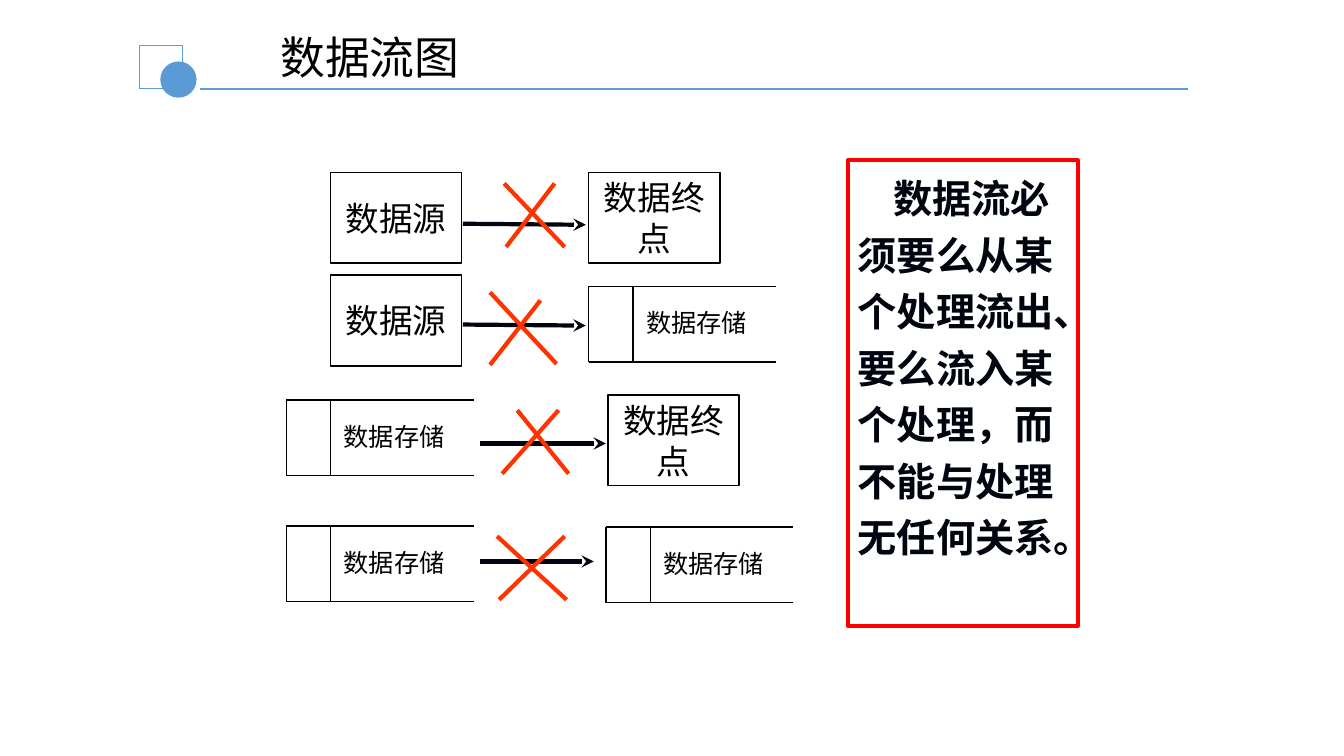
from lxml import etree
from pptx import Presentation, util as u
from pptx.dml.color import RGBColor
from pptx.enum import shapes as sh, text as tx
from pptx.oxml.ns import qn

HEX = {"blue": "5B9BD5", "black": "000000", "ink": "01050F",
       "red": "FF0000", "cross": "FF3300", "white": "FFFFFF"}
CJK = "Noto Sans CJK SC"
TITLE = "数据流图"
RULE = "数据流必须要么从某个处理流出、要么流入某个处理，而不能与处理无任何关系。"
ENDS = [("数据源", 3.28, 1.71), ("数据源", 3.28, 2.73),
        ("数据终点", 5.84, 1.71), ("数据终点", 6.03, 3.92)]
STORE = "数据存储"
STORES = [(5.84, 2.84), (2.84, 3.97), (2.84, 5.22), (6.01, 5.23)]
FLOWS = [(4.59, 2.22, 5.81, 2.23), (4.59, 3.22, 5.81, 3.23),
         (4.76, 4.4, 6.01, 4.4), (4.76, 5.57, 5.89, 5.57)]
CROSSES = [(5, 1.82, 5.6, 2.45), (5.5, 1.82, 5.02, 2.45),
           (4.86, 2.9, 5.52, 3.61), (5.36, 2.98, 4.86, 3.62),
           (5.13, 4.07, 5.64, 4.7), (5.54, 4.07, 4.98, 4.7),
           (4.93, 5.32, 5.62, 5.95), (5.6, 5.32, 4.95, 5.95)]
END_W, END_H = 1.3, 0.9
STORE_W, STORE_H, BAR = 1.86, 0.75, 0.44

deck = Presentation()
deck.slide_width, deck.slide_height = u.Inches(13.33), u.Inches(7.5)
slide = deck.slides.add_slide(deck.slide_layouts[5])


def color(name):
    return RGBColor.from_string(HEX[name])


def line(ends, hue, width, arrow=False):
    link = slide.shapes.add_connector(
        sh.MSO_CONNECTOR.STRAIGHT, *map(u.Inches, ends))
    link.line.color.rgb = color(hue)
    link.line.width = u.Pt(width)
    if arrow:
        etree.SubElement(link.line._get_or_add_ln(),
                         qn("a:tailEnd"), type="stealth")
    etree.SubElement(link._element.spPr, qn("a:effectLst"))


def shape(kind, area, fill=None, edge=None, width=1):
    item = slide.shapes.add_shape(kind, *map(u.Inches, area))
    item.shadow.inherit = False
    if fill:
        item.fill.solid()
        item.fill.fore_color.rgb = color(fill)
    else:
        item.fill.background()
    if edge:
        item.line.color.rgb = color(edge)
        item.line.width = u.Pt(width)
    else:
        item.line.fill.background()
    return item


def write(item, words, size, face, hue="black", bold=False,
          align="LEFT", anchor="TOP", side=0.1):
    frame = item.text_frame
    look = {"word_wrap": True, "auto_size": tx.MSO_AUTO_SIZE.NONE,
            "vertical_anchor": getattr(tx.MSO_ANCHOR, anchor),
            "margin_left": u.Inches(side), "margin_right": u.Inches(side),
            "margin_top": u.Inches(0.05), "margin_bottom": u.Inches(0.05)}
    for key, val in look.items():
        setattr(frame, key, val)
    para = frame.paragraphs[0]
    para.alignment = getattr(tx.PP_ALIGN, align)
    run = para.add_run()
    run.text = words
    for key, val in {"size": u.Pt(size), "name": face, "bold": bold}.items():
        setattr(run.font, key, val)
    run.font.color.rgb = color(hue)
    etree.SubElement(run._r.get_or_add_rPr(), qn("a:ea"), typeface=CJK)
    return para


def store(left, top):
    right, low, bar = left + STORE_W, top + STORE_H, left + BAR
    for ends in [(left, top, right, top), (left, top, left, low),
                 (left, low, right, low), (bar, top, bar, low)]:
        line(ends, "black", 1)
    label = shape(RECT, (left + 0.47, top + 0.16, 1.38, 0.4), "white")
    write(label, STORE, 18, "Times New Roman")


RECT, OVAL = sh.MSO_SHAPE.RECTANGLE, sh.MSO_SHAPE.OVAL

line((1.98, 0.88, 11.78, 0.88), "blue", 1.25)
shape(RECT, (1.38, 0.45, 0.43, 0.43), edge="blue", width=0.75)
shape(OVAL, (1.59, 0.61, 0.36, 0.36), "blue")

title = slide.shapes.title
spot = {"left": 2.67, "top": 0.24, "width": 4.95, "height": 0.65}
for key, val in spot.items():
    setattr(title, key, u.Inches(val))
write(title, TITLE, 32, "Calibri", side=0.11)

note = shape(RECT, (8.41, 1.59, 2.28, 4.62), edge="red", width=3)
para = write(note, RULE, 28, CJK, "ink", bold=True)
para.line_spacing = 1.2
para._p.get_or_add_pPr().set("indent", str(u.Inches(0.35)))

for ends in FLOWS:
    line(ends, "ink", 3, arrow=True)
for ends in CROSSES:
    line(ends, "cross", 3)
for words, left, top in ENDS:
    box = shape(RECT, (left, top, END_W, END_H), "white", "black")
    write(box, words, 24, "Calibri", align="CENTER", anchor="MIDDLE")
for left, top in STORES:
    store(left, top)

deck.save("out.pptx")
